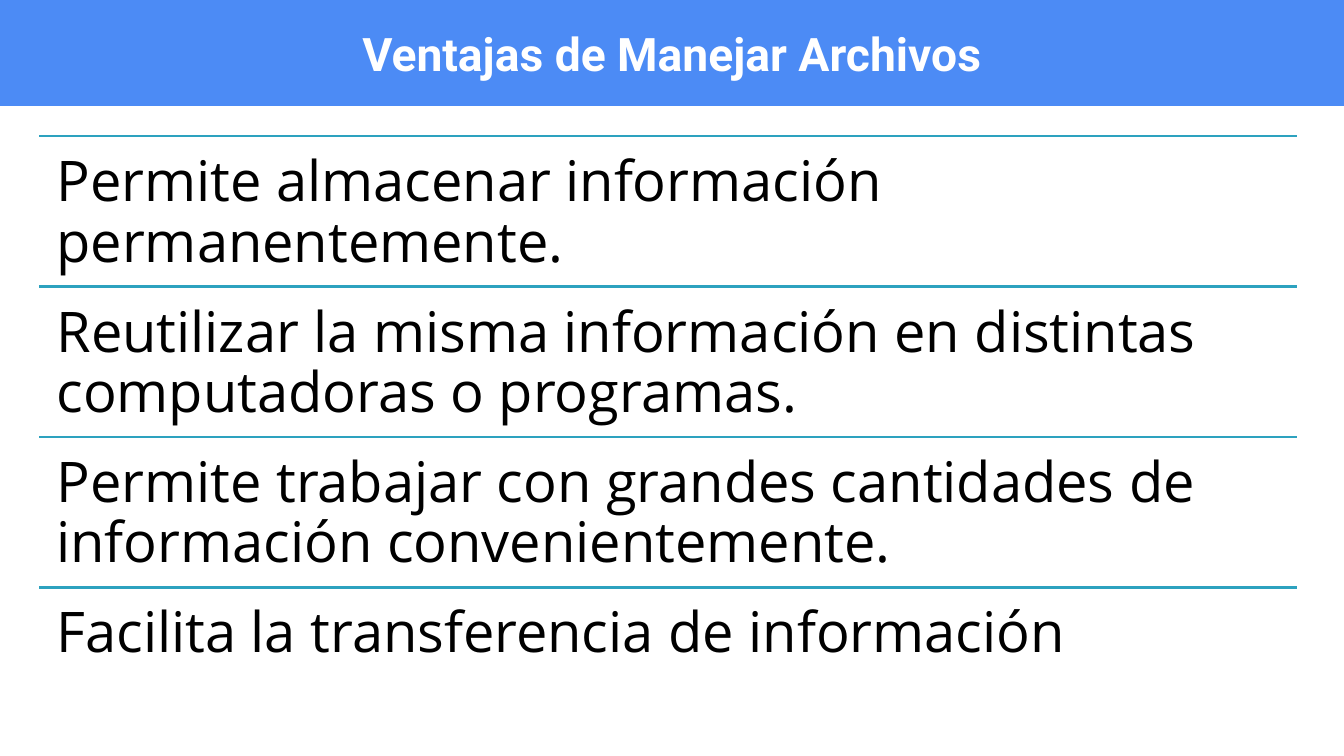
from lxml import etree
from pptx import Presentation
from pptx.dml.color import RGBColor
from pptx.enum.shapes import MSO_CONNECTOR, MSO_SHAPE
from pptx.enum.text import MSO_ANCHOR, PP_ALIGN
from pptx.oxml.ns import qn
from pptx.util import Inches, Pt

BLUE = RGBColor(0x4C, 0x8B, 0xF5)
TEAL = RGBColor(0x2D, 0xA2, 0xBF)
WHITE = RGBColor(0xFF, 0xFF, 0xFF)
BLACK = RGBColor(0x00, 0x00, 0x00)
RECT = MSO_SHAPE.RECTANGLE
STRAIGHT = MSO_CONNECTOR.STRAIGHT
TOP, MIDDLE = MSO_ANCHOR.TOP, MSO_ANCHOR.MIDDLE
LEFT, CENTER = PP_ALIGN.LEFT, PP_ALIGN.CENTER

SLIDE_W, SLIDE_H = 13.33, 7.5
TITLE = "Ventajas de Manejar Archivos"
ADVANTAGES = [
    "Permite almacenar información permanentemente.",
    "Reutilizar la misma información en distintas computadoras o programas.",
    "Permite trabajar con grandes cantidades de información convenientemente.",
    "Facilita la transferencia de información",
]


def write_text(sp, text, *, font, size, color, bold=False, align=LEFT,
               anchor=TOP, inset=0.1, spacing=1.0):
    """Put one formatted paragraph into a shape."""
    tf = sp.text_frame
    tf.word_wrap = True
    tf.vertical_anchor = anchor
    tf.margin_left = tf.margin_right = Inches(inset)
    tf.margin_top = tf.margin_bottom = Inches(inset)
    p = tf.paragraphs[0]
    p.alignment = align
    p.line_spacing = spacing
    r = p.add_run()
    r.text = text
    r.font.name = font
    r.font.size = Pt(size)
    r.font.bold = bold
    r.font.color.rgb = color


def add_title_bar(s, x, y, w, h):
    """Draw the filled title band across the given box."""
    sp = s.shapes.add_shape(RECT, Inches(x), Inches(y), Inches(w), Inches(h))
    sp.shadow.inherit = False
    sp.fill.solid()
    sp.fill.fore_color.rgb = BLUE
    sp.line.fill.background()
    write_text(sp, TITLE, font="Roboto", size=33, color=WHITE, bold=True,
               align=CENTER, anchor=MIDDLE)


def add_rule(s, x, y, w):
    """Draw a horizontal separator line."""
    line = s.shapes.add_connector(STRAIGHT, Inches(x), Inches(y),
                                  Inches(x + w), Inches(y))
    line.line.color.rgb = TEAL
    line.line.width = Pt(2)
    etree.SubElement(line._element.spPr, qn("a:effectLst"))


def add_advantages(s, x, y, w, h):
    """Split the box into equal rows, each a rule with its text below."""
    row_h = h / len(ADVANTAGES)
    for i, text in enumerate(ADVANTAGES):
        top = y + i * row_h
        add_rule(s, x, top, w)
        sp = s.shapes.add_textbox(Inches(x), Inches(top), Inches(w), Inches(row_h))
        write_text(sp, text, font="Open Sans", size=40, color=BLACK,
                   inset=0.17, spacing=0.9)


def main():
    """Build the slide and save it."""
    prs = Presentation()
    prs.slide_width, prs.slide_height = Inches(SLIDE_W), Inches(SLIDE_H)
    s = prs.slides.add_slide(prs.slide_layouts[6])
    add_title_bar(s, 0, 0, SLIDE_W, 1.05)
    add_advantages(s, 0.39, 1.35, 12.47, 5.97)
    prs.save("out.pptx")


if __name__ == "__main__":
    main()
